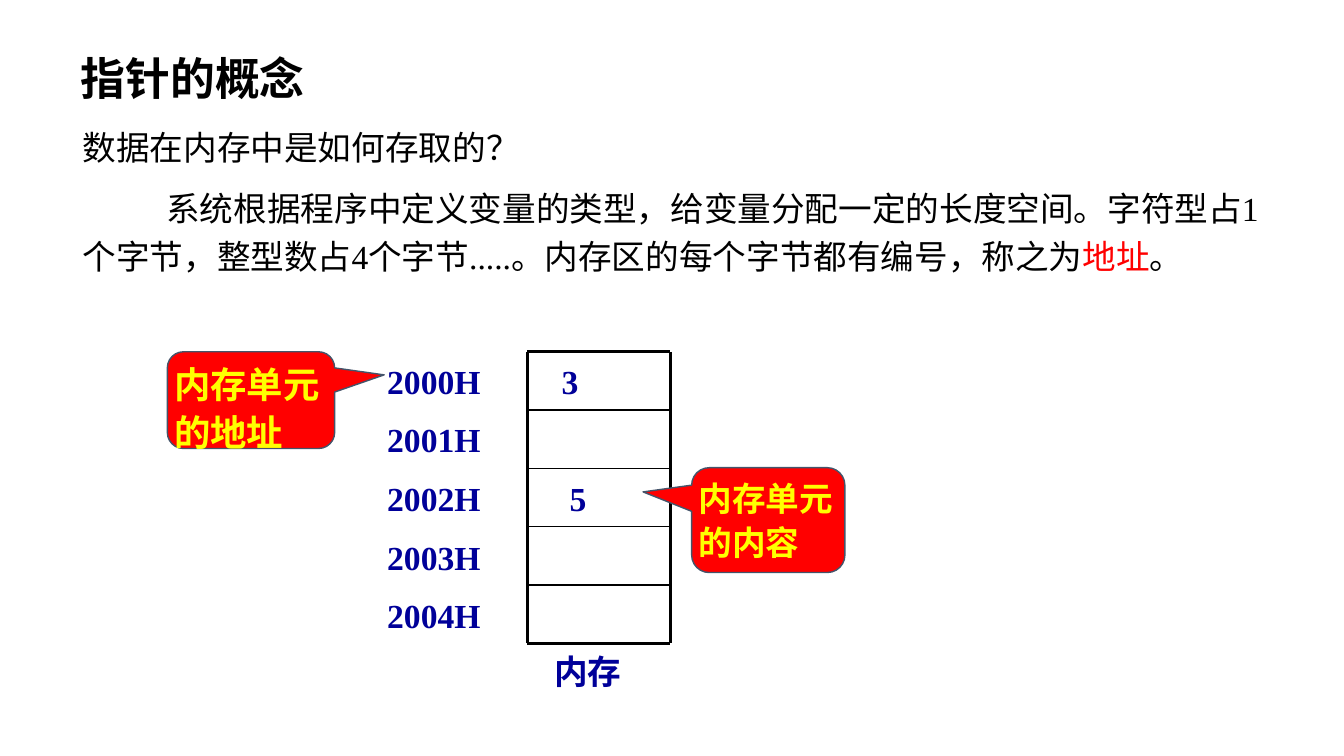
from dataclasses import dataclass

from lxml import etree
from pptx import Presentation
from pptx import util as u
from pptx.dml.color import RGBColor
from pptx.enum import shapes, text
from pptx.oxml.ns import qn

COLORS = {
    "black": "000000",
    "red": "FF0000",
    "yellow": "FFFF00",
    "navy": "000099",
    "outline": "44546A",
}
FONT = "Times New Roman"
CELL_COUNT = 5
MEMORY_LEFT, MEMORY_RIGHT = 5.23, 6.65
MEMORY_TOP, MEMORY_BOTTOM = 3.49, 6.38


@dataclass(frozen=True)
class Box:
    left: float
    top: float
    width: float
    height: float


@dataclass(frozen=True)
class Label:
    lines: tuple[str, ...]
    box: Box
    inset_x: float = 0
    inset_y: float = 0


@dataclass(frozen=True)
class Callout:
    wording: str
    box: Box
    size: int
    pointer: tuple[float, float]


LABELS = (
    Label(tuple(f"{2000 + index}H" for index in range(CELL_COUNT)),
          Box(3.82, 3.58, 1.08, 2.83), inset_x=0.02),
    Label(("3",), Box(5.57, 3.58, 0.42, 0.4)),
    Label(("5",), Box(5.65, 4.74, 0.42, 0.4)),
    Label(("内存",), Box(5.4, 6.41, 1.17, 0.5), inset_x=0.1, inset_y=0.05),
)
CALLOUTS = (
    Callout("内存单元的地址", Box(1.66, 3.49, 1.66, 0.96), 26, (0.796, -0.261)),
    Callout("内存单元的内容", Box(6.86, 4.64, 1.52, 1.04), 24, (-0.817, -0.269)),
)


def color(name: str) -> RGBColor:
    return RGBColor.from_string(COLORS[name])


def place(shape, box: Box) -> None:
    shape.left, shape.top = u.Inches(box.left), u.Inches(box.top)
    shape.width, shape.height = u.Inches(box.width), u.Inches(box.height)


def set_frame(frame, inset_x: float, inset_y: float, wrap: bool = True) -> None:
    frame.auto_size = text.MSO_AUTO_SIZE.NONE
    frame.word_wrap = wrap
    frame.vertical_anchor = text.MSO_ANCHOR.TOP
    frame.margin_left = frame.margin_right = u.Inches(inset_x)
    frame.margin_top = frame.margin_bottom = u.Inches(inset_y)


def format_paragraph(paragraph, size: int, color_name: str, bold: bool = False,
                     line_spacing: float = 1.0, space_before: float = 0) -> None:
    paragraph.alignment = text.PP_ALIGN.LEFT
    paragraph.line_spacing = line_spacing
    paragraph.space_before = u.Pt(space_before)
    for run in paragraph.runs:
        run.font.name, run.font.size, run.font.bold = FONT, u.Pt(size), bold
        run.font.color.rgb = color(color_name)


def remove_bullet(paragraph, first_line: float = 0) -> None:
    properties = paragraph._p.get_or_add_pPr()
    properties.set("marL", "0")
    properties.set("indent", str(u.Inches(first_line)))
    etree.SubElement(properties, qn("a:buNone"))


def fill_body(placeholder, box: Box, wordings: tuple[str, ...],
              line_spacing: float, first_line: float = 0):
    """Write one unbulleted paragraph, one run per wording."""
    place(placeholder, box)
    set_frame(placeholder.text_frame, 0.02, 0.01)
    paragraph = placeholder.text_frame.paragraphs[0]
    remove_bullet(paragraph, first_line)
    for wording in wordings:
        paragraph.add_run().text = wording
    format_paragraph(paragraph, 24, "black", line_spacing=line_spacing)
    return paragraph


def add_line(slide, start: tuple[float, float], end: tuple[float, float],
             weight: float) -> None:
    line = slide.shapes.add_connector(
        shapes.MSO_CONNECTOR.STRAIGHT, *map(u.Inches, (*start, *end)))
    line.line.color.rgb = color("black")
    line.line.width = u.Pt(weight)
    etree.SubElement(line._element.spPr, qn("a:effectLst"))


def add_memory(slide) -> None:
    cell_height = (MEMORY_BOTTOM - MEMORY_TOP) / CELL_COUNT
    for index in range(CELL_COUNT + 1):
        y = MEMORY_TOP + index * cell_height
        weight = 2.25 if index in (0, CELL_COUNT) else 1
        add_line(slide, (MEMORY_LEFT, y), (MEMORY_RIGHT, y), weight)
    for x in (MEMORY_LEFT, MEMORY_RIGHT):
        add_line(slide, (x, MEMORY_TOP), (x, MEMORY_BOTTOM), 2.25)


def add_label(slide, label: Label) -> None:
    shape = slide.shapes.add_textbox(0, 0, 0, 0)
    place(shape, label.box)
    frame = shape.text_frame
    set_frame(frame, label.inset_x, label.inset_y)
    frame.text = "\n".join(label.lines)
    for index, paragraph in enumerate(frame.paragraphs):
        format_paragraph(paragraph, 24, "navy", bold=True,
                         space_before=13 if index else 0)


def add_callout(slide, callout: Callout) -> None:
    shape = slide.shapes.add_shape(
        shapes.MSO_SHAPE.ROUNDED_RECTANGULAR_CALLOUT, 0, 0, 0, 0)
    place(shape, callout.box)
    shape.adjustments[0], shape.adjustments[1] = callout.pointer
    shape.shadow.inherit = False
    shape.fill.solid()
    shape.fill.fore_color.rgb = color("red")
    shape.line.color.rgb = color("outline")
    shape.line.width = u.Pt(1)
    set_frame(shape.text_frame, 0.02, 0.01)
    shape.text_frame.text = callout.wording
    format_paragraph(shape.text_frame.paragraphs[0], callout.size, "yellow",
                     bold=True, line_spacing=1.1)


def main() -> None:
    presentation = Presentation()
    presentation.slide_width = u.Inches(13.33)
    presentation.slide_height = u.Inches(7.5)
    two_content = presentation.slide_layouts[3]
    slide = presentation.slides.add_slide(two_content)

    title = slide.shapes.title
    place(title, Box(0.7, 0.45, 2.43, 0.64))
    set_frame(title.text_frame, 0.1, 0.05, wrap=False)
    title.text_frame.text = "指针的概念"
    format_paragraph(title.text_frame.paragraphs[0], 32, "black", bold=True)

    fill_body(slide.placeholders[1], Box(0.8, 1.09, 9.75, 0.59),
              ("数据在内存中是如何存取的？",), line_spacing=1.4)
    explanation = fill_body(
        slide.placeholders[2], Box(0.8, 1.77, 11.72, 0.99),
        ("系统根据程序中定义变量的类型，给变量分配一定的长度空间。"
         "字符型占1个字节，整型数占4个字节.....。"
         "内存区的每个字节都有编号，称之为", "地址", "。"),
        line_spacing=1.2, first_line=0.83)
    explanation.runs[1].font.color.rgb = color("red")

    add_memory(slide)
    for label in LABELS:
        add_label(slide, label)
    for callout in CALLOUTS:
        add_callout(slide, callout)
    presentation.save("out.pptx")


if __name__ == "__main__":
    main()
